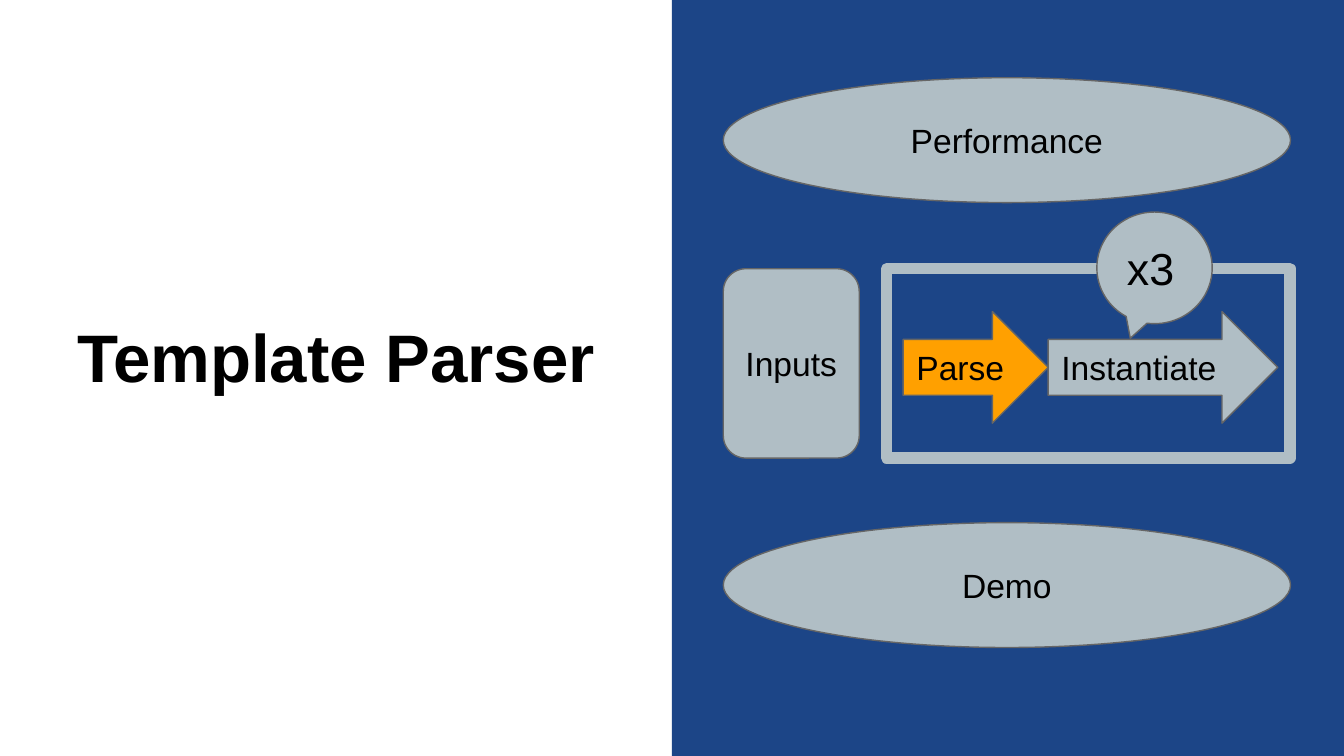
import pptx
import pptx.dml.color
import pptx.enum.shapes
import pptx.enum.text
import pptx.util

Cm = pptx.util.Cm
Pt = pptx.util.Pt
RGB = pptx.dml.color.RGBColor.from_string
Shape = pptx.enum.shapes.MSO_SHAPE
Align = pptx.enum.text.PP_ALIGN
Anchor = pptx.enum.text.MSO_ANCHOR


class Theme:
    font = "Arial"
    ink = RGB("000000")
    panel = RGB("1C4587")
    muted = RGB("B0BEC5")
    active = RGB("FFA000")
    outline = RGB("666666")
    title_size = Pt(36)
    count_size = Pt(24)
    label_size = Pt(18)


def write(box, text, size=Theme.label_size, bold=False, align=Align.CENTER, anchor=Anchor.MIDDLE):
    frame = box.text_frame
    frame.word_wrap = True
    frame.vertical_anchor = anchor
    frame.margin_left = frame.margin_right = Cm(0.25)
    frame.margin_top = frame.margin_bottom = Cm(0.25)
    paragraph = frame.paragraphs[0]
    paragraph.alignment = align
    run = paragraph.add_run()
    run.text = text
    run.font.name = Theme.font
    run.font.size = size
    run.font.bold = bold
    run.font.color.rgb = Theme.ink


def draw(kind, left, top, width, height, fill=None, line=None, weight=0.75):
    shape = slide.shapes.add_shape(kind, Cm(left), Cm(top), Cm(width), Cm(height))
    shape.shadow.inherit = False
    if fill is None:
        shape.fill.background()
    else:
        shape.fill.solid()
        shape.fill.fore_color.rgb = fill
    if line is None:
        shape.line.fill.background()
    else:
        shape.line.color.rgb = line
        shape.line.width = Pt(weight)
    return shape


deck = pptx.Presentation()
deck.slide_width = Cm(25.4)
deck.slide_height = Cm(14.29)
slide = deck.slides.add_slide(deck.slide_layouts[6])

draw(Shape.RECTANGLE, 12.7, 0, 12.7, 14.29, fill=Theme.panel)

title = slide.shapes.add_textbox(Cm(0.74), Cm(3.63), Cm(11.23), Cm(4.11))
write(title, "Template Parser", size=Theme.title_size, bold=True, anchor=Anchor.BOTTOM)

column_left, row_top, row_height = 13.67, 5.08, 3.58
draw(Shape.RECTANGLE, 16.76, row_top, 7.62, row_height, line=Theme.muted, weight=6)

step_left = 17.07
for step, width, fill in (("Parse", 2.74, Theme.active), ("Instantiate", 4.34, Theme.muted)):
    arrow = draw(Shape.RIGHT_ARROW, step_left, 5.89, width, 2.11, fill=fill, line=Theme.outline)
    write(arrow, step, align=Align.LEFT)
    step_left += width

repeat_count = draw(Shape.OVAL_CALLOUT, 20.73, 4.01, 2.18, 2.11, fill=Theme.muted, line=Theme.outline)
repeat_count.adjustments[0] = -0.21
repeat_count.adjustments[1] = 0.63
write(repeat_count, "x3", size=Theme.count_size, align=Align.LEFT)

for topic, top in (("Performance", 1.47), ("Demo", 9.88)):
    ellipse = draw(Shape.OVAL, column_left, top, 10.72, 2.36, fill=Theme.muted, line=Theme.outline)
    write(ellipse, topic)

inputs = draw(Shape.ROUNDED_RECTANGLE, column_left, row_top, 2.57, row_height, fill=Theme.muted, line=Theme.outline)
write(inputs, "Inputs")

deck.save("out.pptx")
